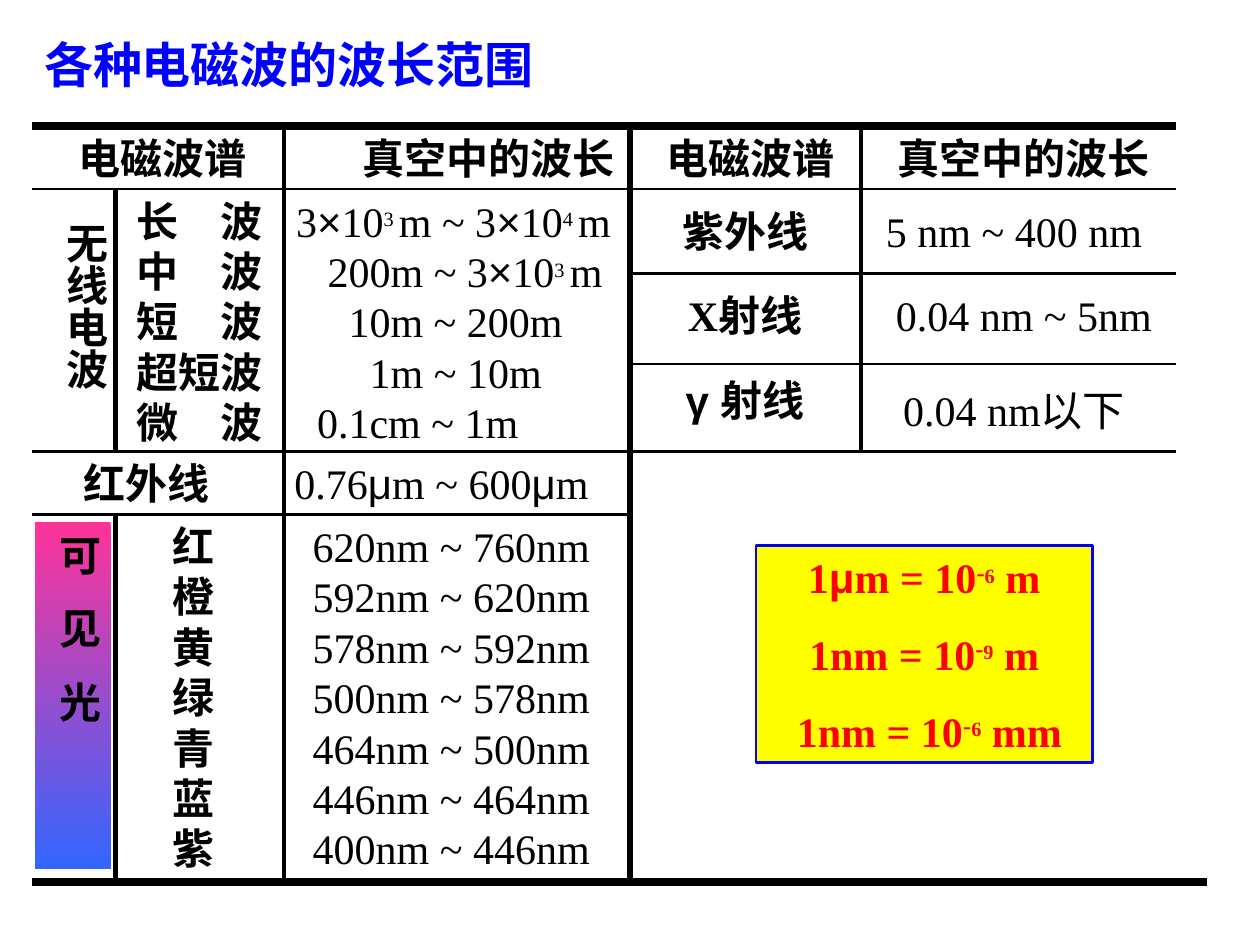
from lxml.etree import SubElement
from pptx import Presentation
from pptx.dml.color import RGBColor
from pptx.enum.shapes import MSO_CONNECTOR, MSO_SHAPE
from pptx.enum.text import MSO_ANCHOR, PP_ALIGN
from pptx.oxml.ns import qn
from pptx.util import Cm, Pt

BLACK = RGBColor(0x00, 0x00, 0x00)
BLUE = RGBColor(0x00, 0x00, 0xFF)
RED = RGBColor(0xFF, 0x00, 0x00)
YELLOW = RGBColor(0xFF, 0xFF, 0x00)
PINK = RGBColor(0xFF, 0x33, 0x99)
SKY = RGBColor(0x33, 0x66, 0xFF)
SERIF = "Times New Roman"
SANS = "Arial"
ROW = 1.27


def add_runs(p, text):
    """Split text at bars into runs; a caret marks a superscript."""
    for part in text.split("|"):
        r = p.add_run()
        r.text = part.lstrip("^")
        if part.strip() in ("×", "μ", "γ"):
            r.font.name = SANS
        if part.startswith("^"):
            r.font._element.set("baseline", "30000")
            if part != "^-":
                r.font.size = Pt(20)


def write(sp, lines, bold=True, color=BLACK, size=24, align=PP_ALIGN.CENTER,
          gap=0, indents=None):
    """Fill a shape with one paragraph per line."""
    tf = sp.text_frame
    tf.word_wrap = True
    tf.vertical_anchor = MSO_ANCHOR.TOP
    for i, line in enumerate(lines):
        p = tf.paragraphs[0] if i == 0 else tf.add_paragraph()
        p.alignment = align
        if i and gap:
            p.space_before = Pt(gap)
        if indents:
            p._p.get_or_add_pPr().set("marL", str(Pt(indents[i])))
        p.font.name = SERIF
        p.font.size = Pt(size)
        p.font.bold = bold
        p.font.color.rgb = color
        add_runs(p, line)
    return tf


def add_text(s, box, lines, **style):
    """Add a text box and return its text frame."""
    return write(s.shapes.add_textbox(*map(Cm, box)), lines, **style)


def add_rect(s, box):
    """Add a rectangle without shadow."""
    sp = s.shapes.add_shape(MSO_SHAPE.RECTANGLE, *map(Cm, box))
    sp.shadow.inherit = False
    return sp


def add_rule(s, x1, y1, x2, y2, width):
    """Add a straight black rule."""
    c = s.shapes.add_connector(MSO_CONNECTOR.STRAIGHT, *map(Cm, (x1, y1, x2, y2)))
    c.line.color.rgb = BLACK
    c.line.width = Pt(width)
    SubElement(c._element.spPr, qn("a:effectLst"))


def set_vertical(tf):
    """Turn a text frame to vertical East Asian writing."""
    tf._txBody.bodyPr.set("vert", "eaVert")
    tf.margin_left = tf.margin_right = Cm(0.13)
    tf.margin_top = tf.margin_bottom = Cm(0.25)


def add_title(s, box):
    """Place the slide heading."""
    tf = add_text(s, box, ["各种电磁波的波长范围"], color=BLUE, size=28,
                  align=PP_ALIGN.LEFT)
    tf.vertical_anchor = MSO_ANCHOR.MIDDLE


def add_frame(s, box):
    """Draw the rules shared by both halves of the table."""
    x, y, w, h = box
    for dy, extra, width in ((0, 0, 4.5), (ROW, 0, 1.5), (6.56, 0, 1.5), (h, 0.64, 4.5)):
        add_rule(s, x, y + dy, x + w + extra, y + dy, width)
    add_rule(s, x + 12.06, y, x + 12.06, y + h, 3)


def add_headers(s, x, y, name_x, value_x):
    """Place the two column headings of one table half."""
    add_text(s, (x + name_x, y, 4.01, ROW), ["电磁波谱"])
    add_text(s, (x + value_x, y, 5.72, ROW), ["真空中的波长"])


def add_long_waves(s, box):
    """Fill the left half: radio, infrared and visible light."""
    x, y, w, h = box
    add_rule(s, x + 5.08, y, x + 5.08, y + h, 2.25)
    add_rule(s, x, y + 7.83, x + w, y + 7.83, 1.5)
    for top, bottom in ((ROW, 6.56), (7.83, h)):
        add_rule(s, x + 1.69, y + top, x + 1.69, y + bottom, 3)
    add_headers(s, x, y, 0.63, 6.35)

    set_vertical(add_text(s, (x + 0.22, y + 1.7, 1.52, 4.24), ["无线电波"]))
    add_text(s, (x + 1.69, y + ROW, 3.38, 5.33),
             ["长　波", "中　波", "短　波", "超短波", "微　波"])
    add_text(s, (x + 5.08, y + ROW, 6.98, 5.33),
             ["3|×|10|^3 |m ~ 3|×|10|^4 |m", "200m ~ 3|×|10|^3 |m",
              "10m ~ 200m", "1m ~ 10m", "0.1cm ~ 1m"],
             bold=False, align=PP_ALIGN.LEFT, indents=(0, 18, 30, 42, 12))

    add_text(s, (x + 0.63, y + 6.56, 3.38, ROW), ["红外线"])
    add_text(s, (x + 4.87, y + 6.56, 6.78, ROW), ["0.76|μ|m ~ 600|μ|m"], bold=False)

    sp = add_rect(s, (x + 0.07, y + 7.98, 1.52, 7.01))
    sp.line.fill.background()
    sp.fill.gradient()
    sp.fill.gradient_angle = 270
    for stop, color in zip(sp.fill.gradient_stops, (PINK, SKY)):
        stop.color.rgb = color
    tf = write(sp, ["可见|光"])
    set_vertical(tf)
    tf.paragraphs[0].runs[0].font._element.set("spc", "1800")

    add_text(s, (x + 2.1, y + 7.83, 2.34, 7.37), list("红橙黄绿青蓝紫"))
    limits = (760, 620, 592, 578, 500, 464, 446, 400)
    add_text(s, (x + 5.28, y + 7.83, 6.35, 7.37),
             [f"{low}nm ~ {high}nm" for high, low in zip(limits, limits[1:])],
             bold=False)


def add_short_waves(s, box):
    """Fill the right half: ultraviolet, X and gamma rays."""
    x, y, w, h = box
    add_rule(s, x + 4.66, y, x + 4.66, y + h, 2.25)
    for dy in (2.97, 4.8):
        add_rule(s, x, y + dy, x + w, y + dy, 1.5)
    add_headers(s, x, y, 0.43, 5.08)
    rows = (("紫外线", 1.47, "5 nm ~ 400 nm", 4.88, 1.47),
            ("X射线", 3.18, "0.04 nm ~ 5nm", 5.08, 3.18),
            ("γ |射线", 4.88, "0.04 nm以下", 4.88, 5.08))
    for name, name_y, value, value_x, value_y in rows:
        add_text(s, (x + 0.63, y + name_y, 3.38, ROW), [name])
        add_text(s, (x + value_x, y + value_y, 5.72, ROW), [value], bold=False)


def add_units(s, box):
    """Place the box of unit conversions."""
    sp = add_rect(s, box)
    sp.fill.solid()
    sp.fill.fore_color.rgb = YELLOW
    sp.line.color.rgb = BLUE
    sp.line.width = Pt(1.5)
    write(sp, ["1|μ|m = 10|^-|^6| m", "1nm = 10|^-|^9| m", " 1nm = 10|^-|^6| mm"],
          color=RED, gap=15)


def main():
    """Build and save the slide."""
    prs = Presentation()
    prs.slide_width, prs.slide_height = Cm(25.4), Cm(19.05)
    s = prs.slides.add_slide(prs.slide_layouts[6])
    add_title(s, (0.64, 0.43, 13.77, 1.7))
    add_frame(s, (0.64, 2.54, 23.06, 15.24))
    add_long_waves(s, (0.64, 2.54, 12.06, 15.24))
    add_short_waves(s, (12.7, 2.54, 11, 6.56))
    add_units(s, (15.24, 11, 6.78, 4.37))
    prs.save("out.pptx")


if __name__ == "__main__":
    main()
